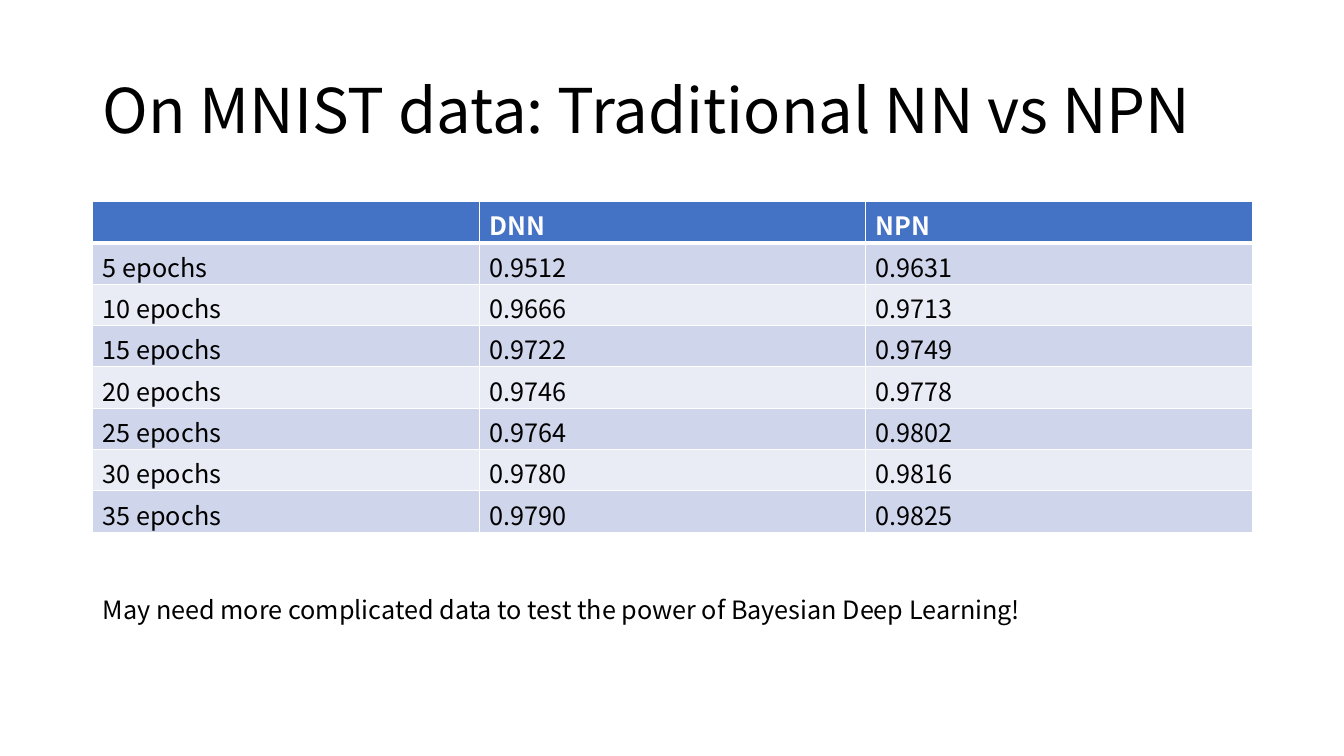
from lxml import etree
from pptx import Presentation
from pptx.dml.color import RGBColor
from pptx.enum.text import MSO_ANCHOR
from pptx.oxml.ns import qn
from pptx.util import Inches, Pt

TITLE = "On MNIST data: Traditional NN vs NPN"
NOTE = "May need more complicated data to test the power of Bayesian Deep Learning!"
ROWS = [
    ("", "DNN", "NPN"),
    ("5 epochs", "0.9512", "0.9631"),
    ("10 epochs", "0.9666", "0.9713"),
    ("15 epochs", "0.9722", "0.9749"),
    ("20 epochs", "0.9746", "0.9778"),
    ("25 epochs", "0.9764", "0.9802"),
    ("30 epochs", "0.9780", "0.9816"),
    ("35 epochs", "0.9790", "0.9825"),
]
FONT = "Noto Sans CJK SC"
BLACK, WHITE = "000000", "FFFFFF"
HEADER, BANDS = "4472C4", ("E9EBF5", "CFD5EA")
LEFT, WIDTH, ROW_H = 0.92, 11.5, 0.41


def rgb(code):
    return RGBColor.from_string(code)


def add_run(p, text, size, color=BLACK, bold=False):
    r = p.add_run()
    r.text = text
    r.font.name = FONT
    r.font.size = Pt(size)
    r.font.bold = bold
    r.font.color.rgb = rgb(color)


def add_text(s, text, size, box, anchor=MSO_ANCHOR.TOP, spacing=1.0):
    tf = s.shapes.add_textbox(*map(Inches, box)).text_frame
    tf.word_wrap = True
    tf.vertical_anchor = anchor
    p = tf.paragraphs[0]
    p.line_spacing = spacing
    add_run(p, text, size)


def set_borders(cell, **widths):
    """Draw white cell edges; widths are points keyed L, R, T, B."""
    tc_pr = cell._tc.get_or_add_tcPr()
    for i, (side, width) in enumerate(widths.items()):
        ln = etree.Element(qn(f"a:ln{side}"), w=str(Pt(width)))
        fill = etree.SubElement(ln, qn("a:solidFill"))
        etree.SubElement(fill, qn("a:srgbClr"), val=WHITE)
        tc_pr.insert(i, ln)


def add_results(s):
    n_rows, n_cols = len(ROWS), len(ROWS[0])
    table = s.shapes.add_table(n_rows, n_cols, Inches(LEFT), Inches(2),
                               Inches(WIDTH), Inches(ROW_H * n_rows)).table
    for i, row in enumerate(ROWS):
        is_header = i == 0
        for j, text in enumerate(row):
            cell = table.cell(i, j)
            cell.fill.solid()
            cell.fill.fore_color.rgb = rgb(HEADER if is_header else BANDS[i % 2])
            set_borders(cell, L=1, R=1, T=3 if i == 1 else 1, B=3 if is_header else 1)
            if text:
                add_run(cell.text_frame.paragraphs[0], text, 18,
                        WHITE if is_header else BLACK, is_header)


def main():
    prs = Presentation()
    prs.slide_width, prs.slide_height = Inches(13.33), Inches(7.5)
    s = prs.slides.add_slide(prs.slide_layouts[6])
    add_text(s, TITLE, 44, (LEFT, 0.4, WIDTH, 1.45), MSO_ANCHOR.MIDDLE, 0.9)
    add_results(s)
    add_text(s, NOTE, 18, (LEFT, 5.85, 11.27, 0.4))
    prs.save("out.pptx")


if __name__ == "__main__":
    main()
